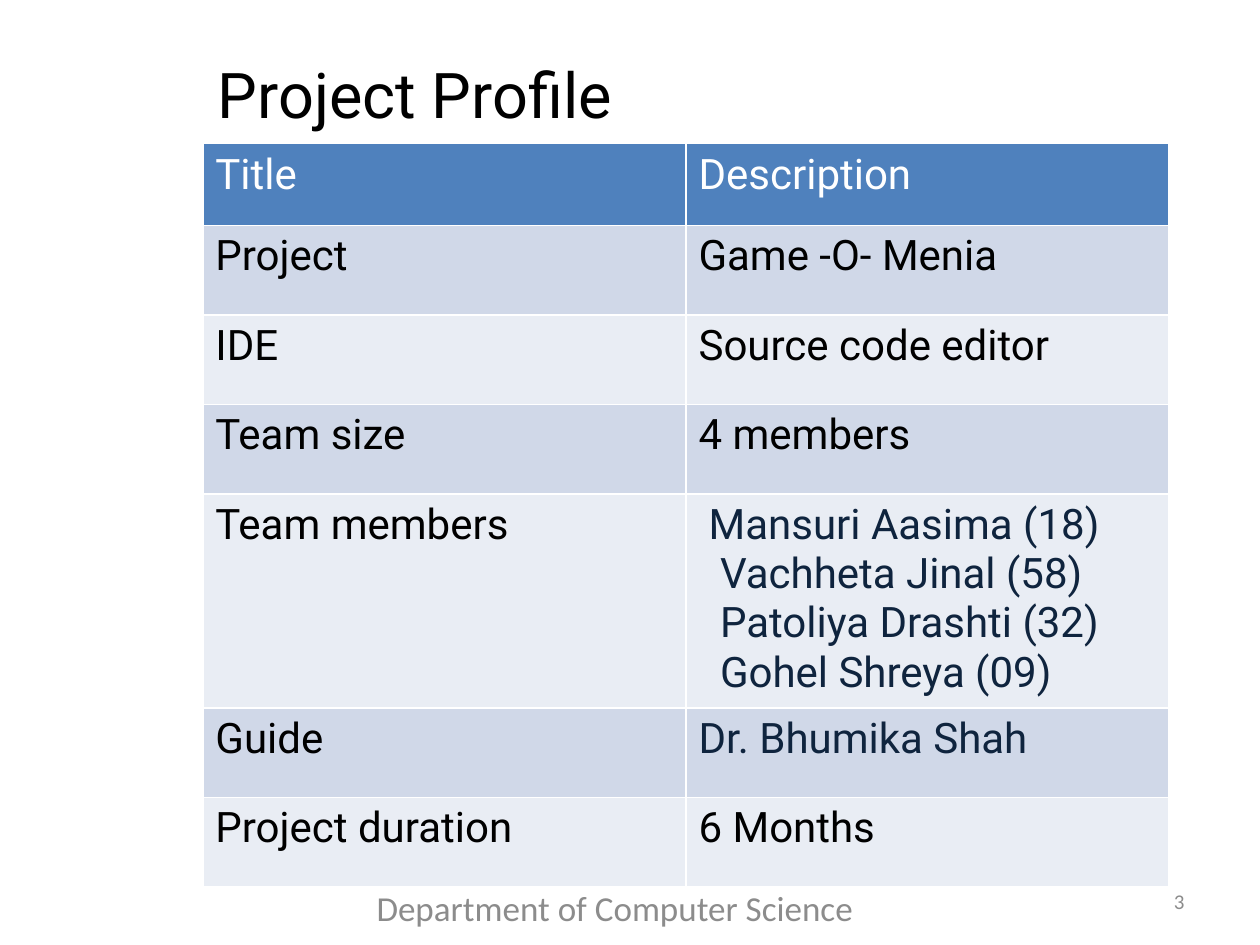
from pptx import Presentation
from pptx.dml.color import RGBColor
from pptx.enum.text import MSO_ANCHOR, MSO_AUTO_SIZE, PP_ALIGN
from pptx.util import Inches, Pt

LEFT, CENTER, RIGHT = PP_ALIGN.LEFT, PP_ALIGN.CENTER, PP_ALIGN.RIGHT
TOP, MIDDLE = MSO_ANCHOR.TOP, MSO_ANCHOR.MIDDLE
NO_FIT = MSO_AUTO_SIZE.NONE

BLACK, WHITE, GRAY, NAVY = "000000", "FFFFFF", "8C8C8C", "0F243E"
HEADER_FILL = "4F81BD"
BAND_FILLS = ("E9EDF4", "D0D8E8")

MEMBERS = ["Mansuri Aasima (18)", "Vachheta Jinal (58)",
           "Patoliya Drashti (32)", "Gohel Shreya (09)"]
MEMBER_INDENTS = [0.08, 0.17, 0.17, 0.17]
ROWS = [
    ("Title", "Description"),
    ("Project", "Game -O- Menia"),
    ("IDE", "Source code editor"),
    ("Team size", "4 members"),
    ("Team members", "\n".join(MEMBERS)),
    ("Guide", "Dr. Bhumika Shah"),
    ("Project duration", "6 Months"),
]
ROW_HEIGHTS = [0.65, 0.71, 0.71, 0.71, 1.7, 0.71, 0.71]
NAVY_ROWS = ("Team members", "Guide")


def rgb(color):
    return RGBColor.from_string(color)


class SlideBuilder:
    font = "Roboto"
    footer_font = "Calibri"

    def __init__(self, s):
        self.s = s

    def format(self, tf, size, color, font, align=LEFT):
        for p in tf.paragraphs:
            p.alignment = align
            for r in p.runs:
                r.font.size = Pt(size)
                r.font.name = font
                r.font.bold = False
                r.font.color.rgb = rgb(color)

    def title(self, text, x, y, w, h):
        sp = self.s.shapes.title
        sp.left, sp.top, sp.width, sp.height = map(Inches, (x, y, w, h))
        tf = sp.text_frame
        tf.text = text
        tf.auto_size = NO_FIT
        tf.vertical_anchor = TOP
        self.format(tf, 36, BLACK, self.font)

    def footer(self, text, x, y, w, h, size, align):
        sp = self.s.shapes.add_textbox(*map(Inches, (x, y, w, h)))
        tf = sp.text_frame
        tf.text = text
        tf.word_wrap = True
        tf.vertical_anchor = MIDDLE
        self.format(tf, size, GRAY, self.footer_font, align)

    def table(self, rows, heights, x, y, w):
        shape = self.s.shapes.add_table(
            len(rows), len(rows[0]), Inches(x), Inches(y),
            Inches(w), Inches(sum(heights)))
        table = shape.table
        for i, (row, height) in enumerate(zip(rows, heights)):
            table.rows[i].height = Inches(height)
            for j, text in enumerate(row):
                color = WHITE if i == 0 else BLACK
                if j == 1 and row[0] in NAVY_ROWS:
                    color = NAVY
                cell = table.cell(i, j)
                cell.fill.solid()
                cell.fill.fore_color.rgb = rgb(HEADER_FILL if i == 0 else BAND_FILLS[i % 2])
                cell.text_frame.text = text
                self.format(cell.text_frame, 24, color, self.font)
        return table

    def indent(self, tf, indents):
        for p, indent in zip(tf.paragraphs, indents):
            p._p.get_or_add_pPr().set("marL", str(Inches(indent)))


def main():
    prs = Presentation()
    prs.slide_width, prs.slide_height = Inches(10), Inches(7.5)
    slide = SlideBuilder(prs.slides.add_slide(prs.slide_layouts[5]))
    slide.footer("Department of Computer Science", 2.67, 7, 4.42, 0.4, 20, CENTER)
    slide.footer("3", 7.17, 6.95, 2.33, 0.4, 12, RIGHT)
    slide.title("Project Profile", 1.63, 0.39, 7.67, 0.71)
    table = slide.table(ROWS, ROW_HEIGHTS, 1.61, 1.14, 7.67)
    slide.indent(table.cell(4, 1).text_frame, MEMBER_INDENTS)
    prs.save("out.pptx")


if __name__ == "__main__":
    main()
